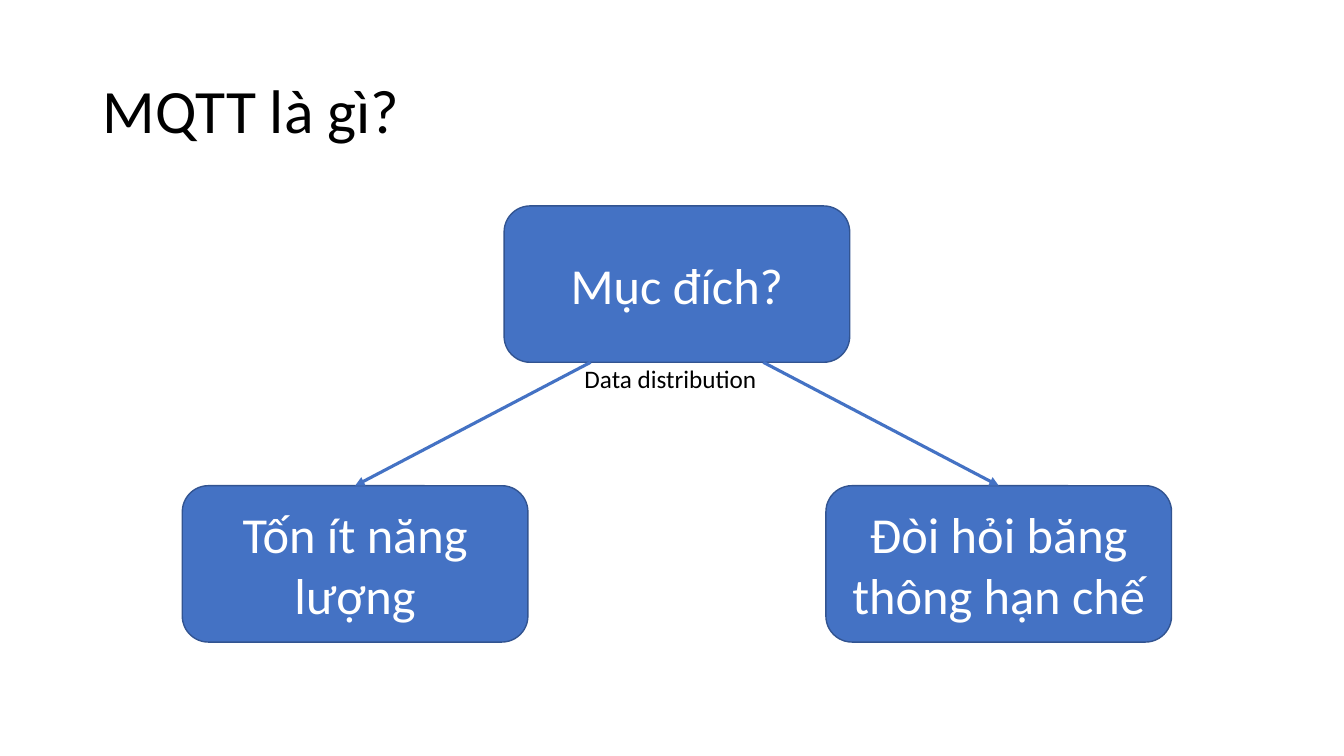
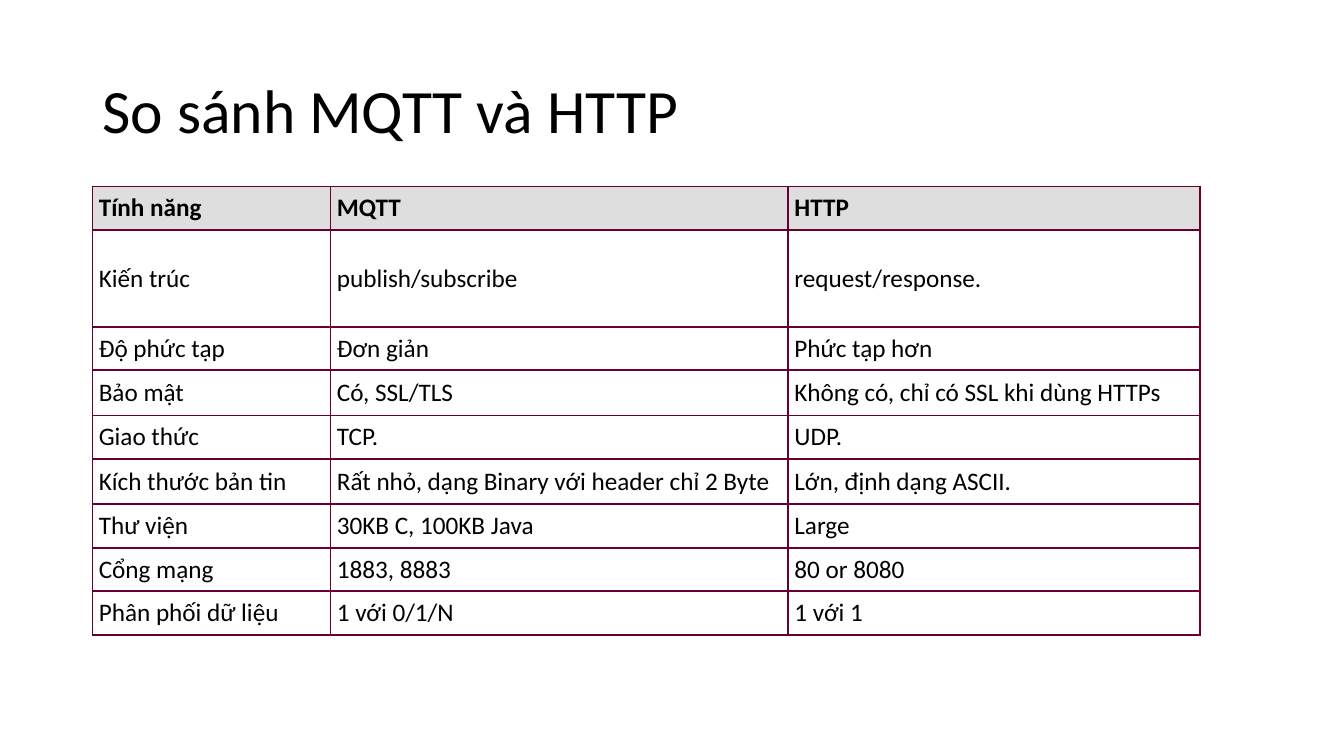
from dataclasses import dataclass
from lxml import etree
from pptx import Presentation, util as u
from pptx.dml.color import RGBColor
from pptx.enum import shapes, text
from pptx.oxml import ns

# Content
PURPOSE_TITLE = "MQTT là gì?"
PURPOSE = "Mục đích?"
PURPOSE_LABEL = "Data distribution"
REASONS = ["Tốn ít năng lượng", "Đòi hỏi băng thông hạn chế"]

COMPARISON_TITLE = "So sánh MQTT và HTTP"
COMPARISON = [
    ("Tính năng", "MQTT", "HTTP"),
    ("Kiến trúc", "publish/subscribe", "request/response."),
    ("Độ phức tạp", "Đơn giản", "Phức tạp hơn"),
    ("Bảo mật", "Có, SSL/TLS", "Không có, chỉ có SSL khi dùng HTTPs"),
    ("Giao thức", "TCP.", "UDP."),
    ("Kích thước bản tin", "Rất nhỏ, dạng Binary với header chỉ 2 Byte",
     "Lớn, định dạng ASCII."),
    ("Thư viện", "30KB C, 100KB Java", "Large"),
    ("Cổng mạng", "1883, 8883", "80 or 8080"),
    ("Phân phối dữ liệu", "1 với 0/1/N", "1 với 1"),
]


@dataclass(frozen=True)
class Theme:
    font: str = "Calibri"
    title_size: int = 44
    box_size: int = 36
    body_size: int = 18
    ink: str = "000000"
    white: str = "FFFFFF"
    blue: str = "4472C4"
    outline: str = "325491"
    header: str = "DEDEDE"
    border: str = "660033"


THEME = Theme()

# Layout, in centimetres
LEFT = 2.33
TITLE_AREA = (LEFT, 1.01, 29.21, 3.69)
BOX_WIDTH, BOX_HEIGHT = 8.71, 3.94
PURPOSE_CENTER, PURPOSE_TOP = 17.06, 5.19
REASON_OFFSET, REASON_TOP = 8.11, 12.24
LABEL_AREA = (14.48, 9.02, 4.9, 1.02)
TABLE_TOP = 4.7
COLUMN_WIDTHS = (6, 11.53, 10.38)
ROW_HEIGHT = 1.08
SPECIAL_HEIGHTS = {1: 2.44, 3: 1.14, 5: 1.14}
CELL_MARGIN = 0.16


def rgb(value):
    return RGBColor.from_string(value)


def cm(values):
    return [u.Cm(value) for value in values]


# Shared pieces
def write(frame, words, size, color=THEME.ink, align=text.PP_ALIGN.LEFT, bold=False):
    frame.text = words
    para = frame.paragraphs[0]
    para.alignment = align
    span = para.runs[0].font
    span.name, span.size, span.bold = THEME.font, u.Pt(size), bold
    span.color.rgb = rgb(color)
    return para


def add_page(deck, words):
    page = deck.slides.add_slide(deck.slide_layouts[5])
    title = page.shapes.title
    title.left, title.top, title.width, title.height = cm(TITLE_AREA)
    frame = title.text_frame
    frame.vertical_anchor = text.MSO_ANCHOR.MIDDLE
    frame.auto_size = text.MSO_AUTO_SIZE.NONE
    write(frame, words, THEME.title_size).line_spacing = 0.9
    return page


def add_box(page, center, top, words):
    area = cm((center - BOX_WIDTH / 2, top, BOX_WIDTH, BOX_HEIGHT))
    box = page.shapes.add_shape(shapes.MSO_SHAPE.ROUNDED_RECTANGLE, *area)
    box.shadow.inherit = False
    box.fill.solid()
    box.fill.fore_color.rgb = rgb(THEME.blue)
    box.line.color.rgb = rgb(THEME.outline)
    box.line.width = u.Pt(1)
    box.text_frame.word_wrap = True
    box.text_frame.vertical_anchor = text.MSO_ANCHOR.MIDDLE
    write(box.text_frame, words, THEME.box_size, THEME.white, text.PP_ALIGN.CENTER)


def add_arrow(page, start, end):
    arrow = page.shapes.add_connector(
        shapes.MSO_CONNECTOR.STRAIGHT, *cm(start), *cm(end))
    arrow.line.color.rgb = rgb(THEME.blue)
    arrow.line.width = u.Pt(2.25)
    etree.SubElement(arrow.line._get_or_add_ln(), ns.qn("a:tailEnd"), type="triangle")
    etree.SubElement(arrow._element.spPr, ns.qn("a:effectLst"))


def format_cell(cell, words, is_header):
    properties = cell._tc.get_or_add_tcPr()
    for side in ("lnL", "lnR", "lnT", "lnB"):
        line = etree.SubElement(properties, ns.qn("a:" + side), w=str(u.Pt(1.5)))
        fill = etree.SubElement(line, ns.qn("a:solidFill"))
        etree.SubElement(fill, ns.qn("a:srgbClr"), val=THEME.border)
    cell.fill.solid()
    cell.fill.fore_color.rgb = rgb(THEME.header if is_header else THEME.white)
    cell.vertical_anchor = text.MSO_ANCHOR.MIDDLE
    margin = u.Cm(CELL_MARGIN)
    cell.margin_left = cell.margin_right = margin
    cell.margin_top = cell.margin_bottom = margin
    write(cell.text_frame, words, THEME.body_size, bold=is_header)


# Purpose and its two reasons
def build_purpose(deck):
    page = add_page(deck, PURPOSE_TITLE)
    add_box(page, PURPOSE_CENTER, PURPOSE_TOP, PURPOSE)
    for side, words in zip((-1, 1), REASONS):
        center = PURPOSE_CENTER + side * REASON_OFFSET
        add_box(page, center, REASON_TOP, words)
        start = (PURPOSE_CENTER + side * BOX_WIDTH / 4, PURPOSE_TOP + BOX_HEIGHT)
        add_arrow(page, start, (center, REASON_TOP))
    label = page.shapes.add_textbox(*cm(LABEL_AREA))
    label.text_frame.word_wrap = False
    label.text_frame.auto_size = text.MSO_AUTO_SIZE.SHAPE_TO_FIT_TEXT
    write(label.text_frame, PURPOSE_LABEL, THEME.body_size)


# Comparison table
def build_comparison(deck):
    page = add_page(deck, COMPARISON_TITLE)
    heights = [SPECIAL_HEIGHTS.get(row, ROW_HEIGHT) for row in range(len(COMPARISON))]
    area = cm((LEFT, TABLE_TOP, sum(COLUMN_WIDTHS), sum(heights)))
    table = page.shapes.add_table(len(heights), len(COLUMN_WIDTHS), *area).table
    table.horz_banding = False
    for column, width in zip(table.columns, COLUMN_WIDTHS):
        column.width = u.Cm(width)
    for index, (row, height, entries) in enumerate(zip(table.rows, heights, COMPARISON)):
        row.height = u.Cm(height)
        for cell, words in zip(row.cells, entries):
            format_cell(cell, words, index == 0)


deck = Presentation()
deck.slide_width, deck.slide_height = cm((33.87, 19.05))
build_purpose(deck)
build_comparison(deck)
deck.save("out.pptx")
